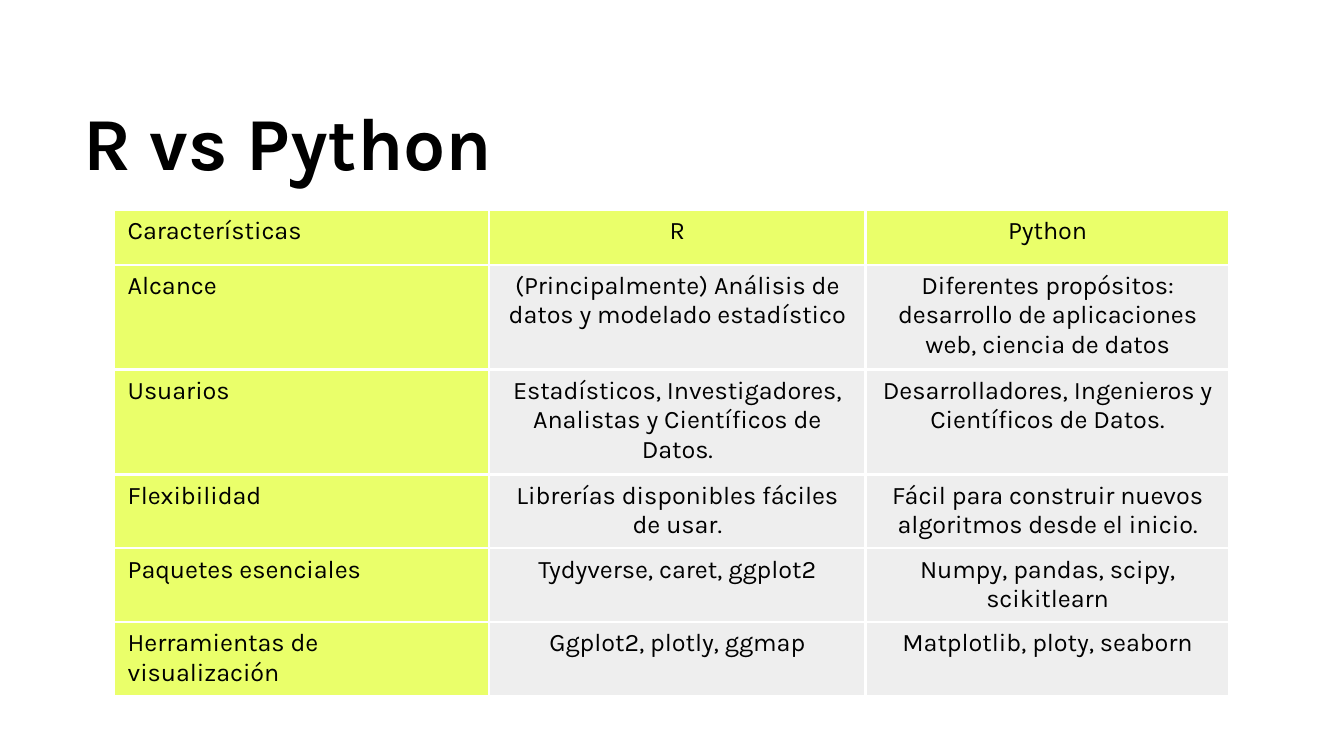
from lxml.etree import SubElement
from pptx import Presentation
from pptx.dml.color import RGBColor
from pptx.enum.text import MSO_ANCHOR, PP_ALIGN
from pptx.oxml.ns import qn
from pptx.util import Inches, Pt

SLIDE_WIDTH = Inches(10)
SLIDE_HEIGHT = SLIDE_WIDTH * 9 // 16
GRID_UNIT = SLIDE_WIDTH // 1000
FONT = "Karla"
BLACK, WHITE, LIME, GRAY = "000000", "FFFFFF", "EAFF6A", "EEEEEE"
COLUMN_UNITS = (279, 280, 271)
ROW_UNITS = (41, 78, 78, 55, 55, 55)
COMPARISON = (
    ("Características", "R", "Python"),
    ("Alcance", "(Principalmente) Análisis de datos y modelado estadístico",
     "Diferentes propósitos: desarrollo de aplicaciones web, ciencia de datos"),
    ("Usuarios", "Estadísticos, Investigadores, Analistas y Científicos de Datos.",
     "Desarrolladores, Ingenieros y Científicos de Datos."),
    ("Flexibilidad", "Librerías disponibles fáciles de usar.",
     "Fácil para construir nuevos algoritmos desde el inicio."),
    ("Paquetes esenciales", "Tydyverse, caret, ggplot2",
     "Numpy, pandas, scipy, scikitlearn"),
    ("Herramientas de visualización", "Ggplot2, plotly, ggmap",
     "Matplotlib, ploty, seaborn"),
)


def color(value):
    return RGBColor.from_string(value)


def grid_box(*units):
    return [unit * GRID_UNIT for unit in units]


def add_run(paragraph, text, size, bold=False):
    run = paragraph.add_run()
    run.text = text
    run.font.name = FONT
    run.font.size = Pt(size)
    run.font.bold = bold
    run.font.color.rgb = color(BLACK)


def add_borders(cell, border_color, width):
    properties = cell._tc.get_or_add_tcPr()
    for side in ("lnL", "lnR", "lnT", "lnB"):
        line = SubElement(properties, qn(f"a:{side}"), w=str(Pt(width)))
        fill = SubElement(line, qn("a:solidFill"))
        SubElement(fill, qn("a:srgbClr"), val=border_color)


def add_title(slide, box, text):
    frame = slide.shapes.add_textbox(*box).text_frame
    frame.word_wrap = True
    frame.vertical_anchor = MSO_ANCHOR.MIDDLE
    frame.margin_left = frame.margin_right = Inches(0.1)
    frame.margin_top = frame.margin_bottom = Inches(0.1)
    paragraph = frame.paragraphs[0]
    paragraph.line_spacing = 0.9
    add_run(paragraph, text, 40, bold=True)


def add_comparison(slide, box, rows):
    table = slide.shapes.add_table(len(rows), len(rows[0]), *box).table
    table.first_row = False
    table.horz_banding = False
    for column, units in zip(table.columns, COLUMN_UNITS):
        column.width = box[2] * units // sum(COLUMN_UNITS)
    for row, units in zip(table.rows, ROW_UNITS):
        row.height = box[3] * units // sum(ROW_UNITS)
    for row_index, texts in enumerate(rows):
        for column_index, text in enumerate(texts):
            cell = table.cell(row_index, column_index)
            is_heading = row_index == 0 or column_index == 0
            add_borders(cell, WHITE, 1.5)
            cell.fill.solid()
            cell.fill.fore_color.rgb = color(LIME if is_heading else GRAY)
            cell.margin_left = cell.margin_right = Inches(0.1)
            cell.margin_top = cell.margin_bottom = Inches(0.05)
            paragraph = cell.text_frame.paragraphs[0]
            paragraph.alignment = PP_ALIGN.CENTER if column_index else PP_ALIGN.LEFT
            add_run(paragraph, text, 13.5)


def main():
    presentation = Presentation()
    presentation.slide_width = SLIDE_WIDTH
    presentation.slide_height = SLIDE_HEIGHT
    slide = presentation.slides.add_slide(presentation.slide_layouts[6])
    slide.background.fill.solid()
    slide.background.fill.fore_color.rgb = color(WHITE)
    add_title(slide, grid_box(52, 68, 890, 81), "R vs Python")
    add_comparison(slide, grid_box(85, 156, sum(COLUMN_UNITS), sum(ROW_UNITS)), COMPARISON)
    presentation.save("out.pptx")


if __name__ == "__main__":
    main()
